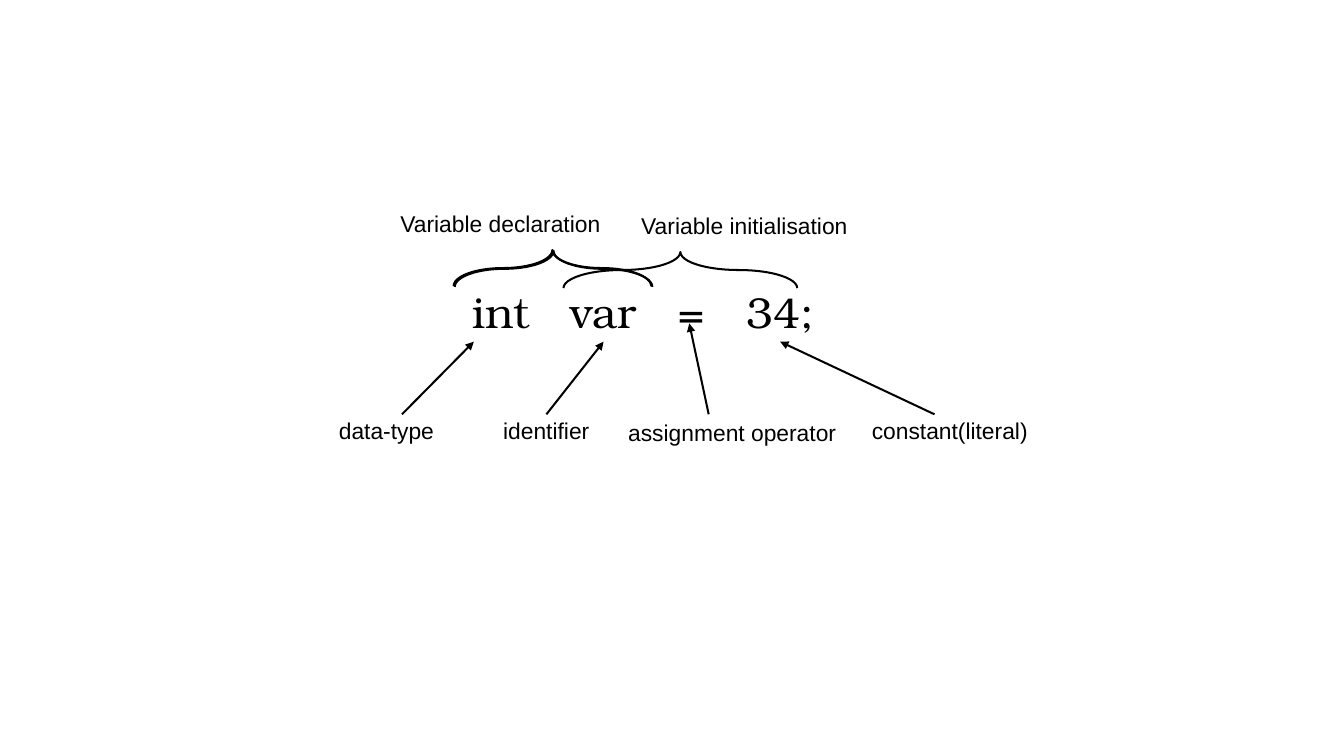
from lxml.etree import SubElement
from pptx import Presentation
from pptx.dml.color import RGBColor
from pptx.enum.shapes import MSO_CONNECTOR as CONN, MSO_SHAPE as SHAPE
from pptx.enum.text import MSO_ANCHOR as ANCHOR
from pptx.oxml.ns import qn
from pptx.util import Cm, Pt


def rgb(code):
    return RGBColor.from_string(code)


class Diagram:
    ink = "000000"
    label_font, code_font = "Arial", "TeX Gyre Bonum"
    label_size, code_size = 16.3, 30.8
    line_width = 1.45

    def __init__(self, slide):
        self.s = slide

    def text(self, text, x, y, w, h, font=label_font, size=label_size,
             spacing=0.93, top=0.15, tabs=()):
        """Place one line of text; tabs are stops in cm from the text's left edge."""
        tf = self.s.shapes.add_textbox(Cm(x), Cm(y), Cm(w), Cm(h)).text_frame
        tf.word_wrap = True
        tf.vertical_anchor = ANCHOR.MIDDLE
        tf.margin_left, tf.margin_right = Cm(0.23), 0
        tf.margin_top, tf.margin_bottom = Cm(top), Cm(0.1)
        p = tf.paragraphs[0]
        p.line_spacing = spacing
        if tabs:
            stops = SubElement(p._p.get_or_add_pPr(), qn("a:tabLst"))
            for stop in tabs:
                SubElement(stops, qn("a:tab"), pos=str(Cm(stop)), algn="l")
        r = p.add_run()
        r.text = text
        r.font.name, r.font.size = font, Pt(size)
        r.font.color.rgb = rgb(self.ink)

    def code(self, tokens, x, y, w, h, tabs):
        self.text("\t".join(tokens), x, y, w, h, font=self.code_font,
                  size=self.code_size, spacing=0.98, top=0.13, tabs=tabs)

    def arrow(self, x1, y1, x2, y2):
        c = self.s.shapes.add_connector(CONN.STRAIGHT, Cm(x1), Cm(y1), Cm(x2), Cm(y2))
        self.outline(c)
        SubElement(c.line._get_or_add_ln(), qn("a:tailEnd"), type="triangle")
        SubElement(c._element.spPr, qn("a:effectLst"))

    def brace(self, x, y, w, h, curve):
        """Draw a brace over the given span, its point upwards."""
        left, top = x + (w - h) / 2, y + (h - w) / 2
        sp = self.s.shapes.add_shape(SHAPE.LEFT_BRACE, Cm(left), Cm(top), Cm(h), Cm(w))
        sp.rotation = 90
        sp.adjustments[0], sp.adjustments[1] = curve, 0.5
        sp.shadow.inherit = False
        sp.fill.background()
        self.outline(sp)

    def outline(self, shape):
        shape.line.color.rgb = rgb(self.ink)
        shape.line.width = Pt(self.line_width)


LABEL_H, BRACE_H = 0.86, 0.91
ARROW_START = 10.44

# text, left, top, width, arrow start x, arrow tip x, arrow tip y
PARTS = [
    ("data-type", 8.31, 10.44, 2.84, 10.13, 11.94, 8.61),
    ("identifier", 12.45, 10.44, 2.62, 13.77, 15.21, 8.61),
    ("assignment operator", 15.6, 10.48, 5.69, 17.86, 17.37, 8.15),
    ("constant(literal)", 21.74, 10.44, 4.39, 23.55, 19.66, 8.61),
]
# text, left, top, width
PHRASES = [
    ("Variable initialisation", 15.93, 5.26, 5.64),
    ("Variable declaration", 9.86, 5.21, 5.49),
]
# left, top, width, curve; the declaration brace is doubled for weight
BRACES = [
    (14.2, 6.35, 5.89, 1.62),
    (11.46, 6.32, 4.98, 1.37),
    (11.43, 6.3, 4.98, 1.37),
]


def main():
    prs = Presentation()
    prs.slide_width, prs.slide_height = Cm(33.87), Cm(19.05)
    d = Diagram(prs.slides.add_slide(prs.slide_layouts[6]))

    d.code(("int", "var", "=", "34;"), 11.68, 7.16, 9.53, 1.45, tabs=(2.48, 5.19, 6.91))
    for text, x, y, w, start, tip_x, tip_y in PARTS:
        d.text(text, x, y, w, LABEL_H)
        d.arrow(start, ARROW_START, tip_x, tip_y)
    for x, y, w, curve in BRACES:
        d.brace(x, y, w, BRACE_H, curve)
    for text, x, y, w in PHRASES:
        d.text(text, x, y, w, LABEL_H)

    prs.save("out.pptx")


if __name__ == "__main__":
    main()
